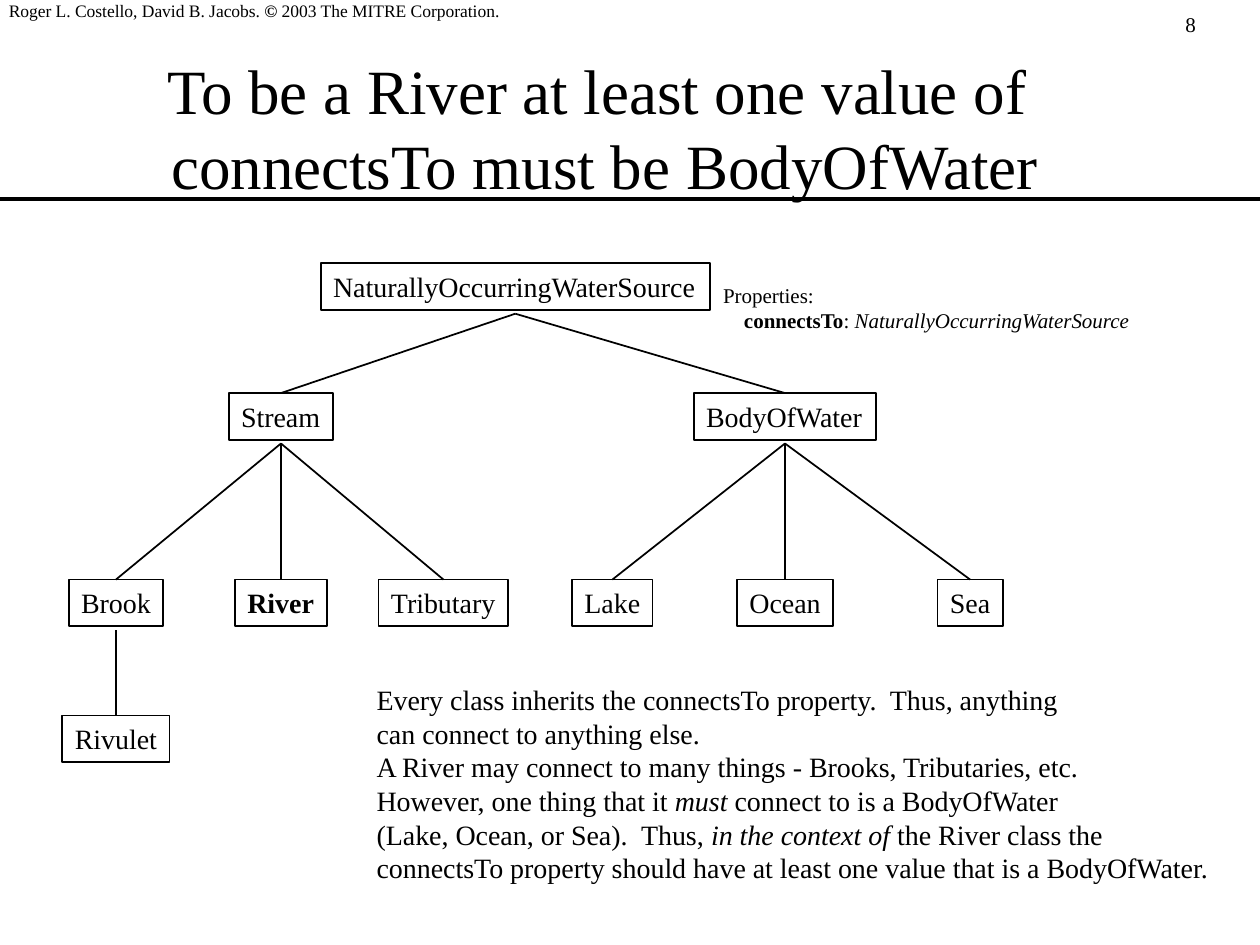
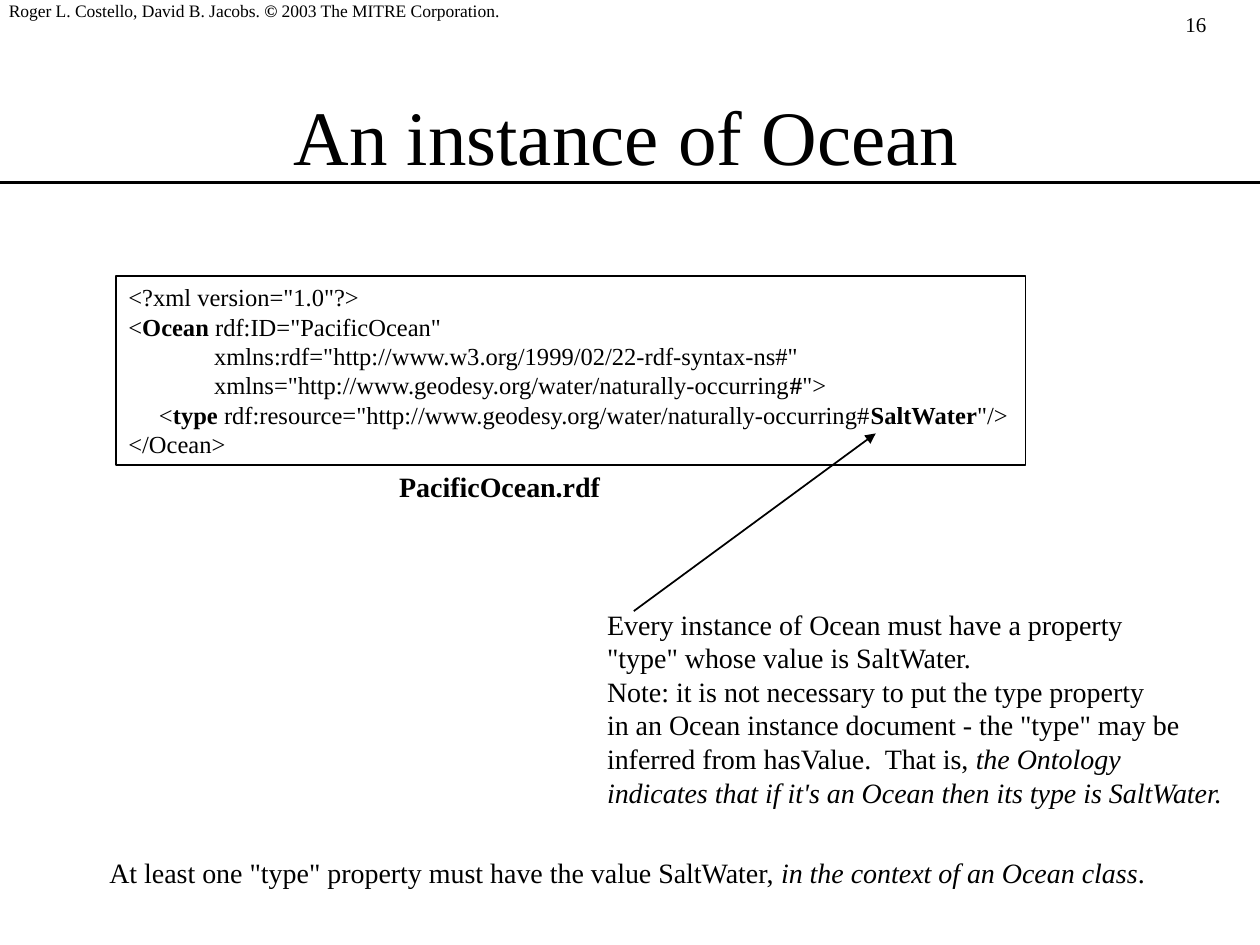
from lxml import etree
from pptx import Presentation
from pptx.dml.color import RGBColor
from pptx.enum.shapes import MSO_CONNECTOR, MSO_SHAPE
from pptx.enum.text import MSO_ANCHOR, MSO_AUTO_SIZE, PP_ALIGN
from pptx.oxml.ns import qn
from pptx.util import Inches, Pt

STRAIGHT = MSO_CONNECTOR.STRAIGHT
RECTANGLE = MSO_SHAPE.RECTANGLE
TOP, MIDDLE = MSO_ANCHOR.TOP, MSO_ANCHOR.MIDDLE
LEFT, CENTER = PP_ALIGN.LEFT, PP_ALIGN.CENTER
FIXED_SIZE = MSO_AUTO_SIZE.NONE

# The slide is a grid of square cells; all places are in columns and rows.
COLUMNS, ROWS = 10, 7.5
CELL = Inches(1)

FONT = "Times New Roman"
INK = "000000"
BODY_SIZE, CODE_SIZE, SMALL_SIZE, FOOTER_SIZE = 16, 14, 12, 10
COPYRIGHT = "Roger L. Costello, David B. Jacobs. *©* 2003 The MITRE Corporation."

NODE_HEIGHT = 0.37
EDGE_GAP = 0.03
LEVELS = [2.09, 3.12, 4.6, 5.68]
# Class name: (parent, level, centre column, width)
WATER_CLASSES = {
    "NaturallyOccurringWaterSource": (None, 0, 4.09, 3.09),
    "Stream": ("NaturallyOccurringWaterSource", 1, 2.23, 0.83),
    "BodyOfWater": ("NaturallyOccurringWaterSource", 1, 6.23, 1.45),
    "Brook": ("Stream", 2, 0.92, 0.75),
    "River": ("Stream", 2, 2.23, 0.73),
    "Tributary": ("Stream", 2, 3.52, 1.03),
    "Lake": ("BodyOfWater", 2, 4.86, 0.64),
    "Ocean": ("BodyOfWater", 2, 6.23, 0.76),
    "Sea": ("BodyOfWater", 2, 7.7, 0.52),
    "Rivulet": ("Brook", 3, 0.92, 0.85),
}
EMPHASISED_CLASS = "River"

PROPERTIES = ["Properties:", "*connectsTo*: ~NaturallyOccurringWaterSource~"]

RIVER_EXPLANATION = [
    "Every class inherits the connectsTo property.  Thus, anything",
    "can connect to anything else.",
    "A River may connect to many things - Brooks, Tributaries, etc.",
    "However, one thing that it ~must~ connect to is a BodyOfWater",
    "(Lake, Ocean, or Sea).  Thus, ~in the context of~ the River class the",
    "connectsTo property should have at least one value that is a BodyOfWater.",
]

OCEAN_CODE = [
    '<?xml version="1.0"?>',
    '<*Ocean* rdf:ID="PacificOcean"',
    '              xmlns:rdf="http://www.w3.org/1999/02/22-rdf-syntax-ns#"',
    '              xmlns="http://www.geodesy.org/water/naturally-occurring*#*">',
    '     <*type* rdf:resource="http://www.geodesy.org/water/naturally-occurring#*SaltWater*"/>',
    "</Ocean>",
]

OCEAN_EXPLANATION = [
    "Every instance of Ocean must have a property",
    '"type" whose value is SaltWater.',
    "Note: it is not necessary to put the type property",
    'in an Ocean instance document - the "type" may be',
    "inferred from hasValue.  That is, ~the Ontology~",
    "~indicates that if it's an Ocean then its type is SaltWater.~",
]

OCEAN_RULE = ('At least one "type" property must have the value SaltWater, '
              "~in the context of an Ocean class~.")


def cells(*lengths):
    return [round(length * CELL) for length in lengths]


def color(hex_string):
    return RGBColor.from_string(hex_string)


def write_line(paragraph, marked_text, size):
    """Write text in which *...* is bold and ~...~ is italic."""
    for bold_index, piece in enumerate(marked_text.split("*")):
        for italic_index, part in enumerate(piece.split("~")):
            if part:
                run = paragraph.add_run()
                run.text = part
                run.font.name = FONT
                run.font.size = Pt(size)
                run.font.color.rgb = color(INK)
                run.font.bold = bold_index % 2 == 1
                run.font.italic = italic_index % 2 == 1


def fill_text(shape, lines, size):
    """Write left-aligned lines; no right margin, so tight labels stay on one line."""
    text_frame = shape.text_frame
    text_frame.word_wrap = True
    text_frame.auto_size = FIXED_SIZE
    text_frame.vertical_anchor = TOP
    text_frame.margin_right = 0
    for index, line in enumerate(lines):
        paragraph = text_frame.add_paragraph() if index else text_frame.paragraphs[0]
        paragraph.alignment = LEFT
        write_line(paragraph, line, size)
    return text_frame


def add_text(slide, place, lines, size=BODY_SIZE):
    return fill_text(slide.shapes.add_textbox(*cells(*place)), lines, size)


def add_box(slide, place, lines, size=BODY_SIZE):
    box = slide.shapes.add_shape(RECTANGLE, *cells(*place))
    box.shadow.inherit = False
    box.fill.background()
    box.line.color.rgb = color(INK)
    box.line.width = Pt(1)
    fill_text(box, lines, size)


def add_line(slide, start, end, width=1, arrow=False):
    connector = slide.shapes.add_connector(STRAIGHT, *cells(*start, *end))
    connector.line.color.rgb = color(INK)
    connector.line.width = Pt(width)
    properties = connector._element.spPr
    if arrow:
        etree.SubElement(properties.find(qn("a:ln")), qn("a:tailEnd"), type="triangle")
    etree.SubElement(properties, qn("a:effectLst"))


def add_title(slide, left, top, lines, size):
    text_frame = add_text(slide, (left, top, 8.5, 1.25), lines, size)
    text_frame.margin_right = text_frame.margin_left
    text_frame.vertical_anchor = MIDDLE
    for paragraph in text_frame.paragraphs:
        paragraph.alignment = CENTER


def add_page(presentation, number, rule_row):
    """Add a slide with the copyright line, page number and title rule."""
    slide = presentation.slides.add_slide(presentation.slide_layouts[6])
    add_text(slide, (9.31, 0.04, 0.6, 0.3), [str(number)], SMALL_SIZE)
    copyright_frame = add_text(slide, (0.07, 0, 4.2, 0.17), [COPYRIGHT], FOOTER_SIZE)
    copyright_frame.margin_left = 0
    copyright_frame.margin_top = copyright_frame.margin_bottom = 0
    add_line(slide, (0, rule_row), (COLUMNS, rule_row), width=2)
    return slide


def add_class_tree(slide):
    for name, (parent, level, center, width) in WATER_CLASSES.items():
        label = f"*{name}*" if name == EMPHASISED_CLASS else name
        top = LEVELS[level]
        add_box(slide, (center - width / 2, top, width, NODE_HEIGHT), [label])
        if parent:
            _, parent_level, parent_center, _ = WATER_CLASSES[parent]
            parent_bottom = LEVELS[parent_level] + NODE_HEIGHT + EDGE_GAP
            add_line(slide, (parent_center, parent_bottom), (center, top))


def build_river_slide(presentation):
    slide = add_page(presentation, 8, rule_row=1.58)
    add_title(slide, 0.55, 0.38, ["To be a River at least one value of ",
                                  "connectsTo must be BodyOfWater"], 36)
    add_class_tree(slide)
    properties = add_text(slide, (5.64, 2.19, 3.46, 0.5), PROPERTIES, SMALL_SIZE)
    indent = str(Pt(SMALL_SIZE))
    properties.paragraphs[1]._p.get_or_add_pPr().set("marL", indent)
    add_text(slide, (2.89, 5.37, 6.85, 1.7), RIVER_EXPLANATION)


def build_ocean_slide(presentation):
    slide = add_page(presentation, 16, rule_row=1.45)
    add_title(slide, 0.72, 0.44, ["An instance of Ocean"], 44)
    add_box(slide, (0.92, 2.19, 7.22, 1.5), OCEAN_CODE, CODE_SIZE)
    add_text(slide, (3.07, 3.68, 1.79, 0.37), ["*PacificOcean.rdf*"])
    add_text(slide, (4.72, 4.77, 5.13, 1.7), OCEAN_EXPLANATION)
    add_text(slide, (0.77, 6.74, 8.44, 0.37), [OCEAN_RULE])
    add_line(slide, (5.03, 4.85), (6.95, 3.44), arrow=True)


def main():
    presentation = Presentation()
    presentation.slide_width, presentation.slide_height = cells(COLUMNS, ROWS)
    build_river_slide(presentation)
    build_ocean_slide(presentation)
    presentation.save("out.pptx")


if __name__ == "__main__":
    main()
